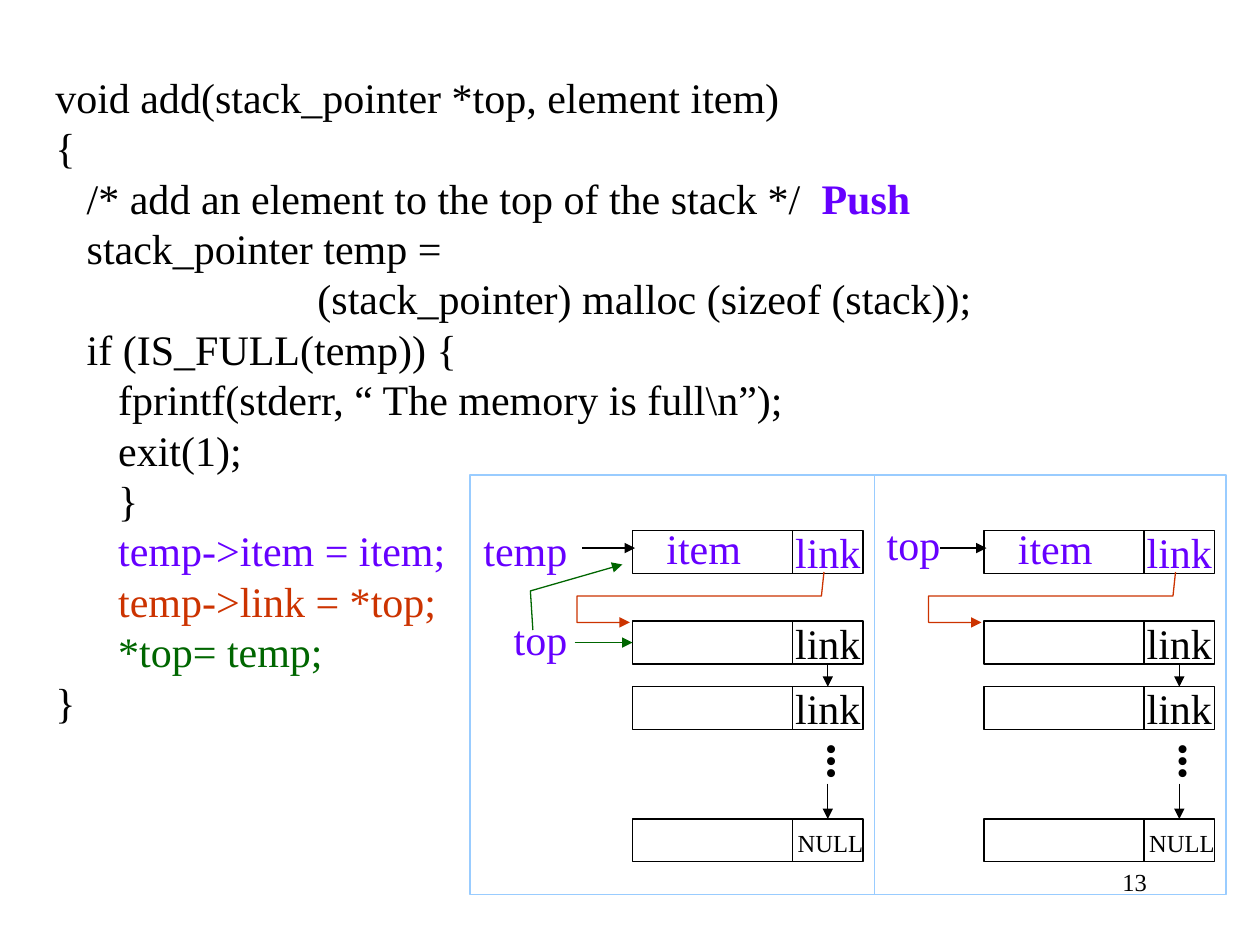
from dataclasses import dataclass

from lxml import etree
from pptx import Presentation
from pptx import util as u
from pptx.dml.color import RGBColor
from pptx.enum import shapes, text
from pptx.oxml.ns import qn

BLACK = RGBColor(0x00, 0x00, 0x00)
PURPLE = RGBColor(0x66, 0x00, 0xFF)
RED = RGBColor(0xCC, 0x33, 0x00)
GREEN = RGBColor(0x00, 0x66, 0x00)
SKY = RGBColor(0x99, 0xCC, 0xFF)
FONT = "Times New Roman"
LINE_WIDTH = u.Pt(0.75)

# Node geometry, shared by both stacks
ITEM_W, LINK_W, NODE_H = 1.27, 0.56, 0.34
PANEL_TOP, PANEL_H = 3.77, 3.33


@dataclass
class Label:
    text: str
    x: float
    y: float
    w: float
    h: float = 0.5
    size: float = 24
    color: RGBColor = BLACK
    bold: bool = False
    side_margin: float = 0
    align: text.PP_ALIGN = text.PP_ALIGN.CENTER
    anchor: text.MSO_ANCHOR = text.MSO_ANCHOR.TOP


@dataclass
class Node:
    top: float
    caption: str
    color: RGBColor = BLACK


NODES = [
    Node(4.21, "link", PURPLE),
    Node(4.93, "link"),
    Node(5.45, "link"),
    Node(6.5, "NULL"),
]

CODE = [
    [("void add(stack_pointer *top, element item)", BLACK)],
    [("{", BLACK)],
    [("   /* add an element to the top of the stack */  ", BLACK), ("Push", PURPLE)],
    [("   stack_pointer temp =", BLACK)],
    [("                         (stack_pointer) malloc (sizeof (stack));", BLACK)],
    [("   if (IS_FULL(temp)) {", BLACK)],
    [("      fprintf(stderr, “ The memory is full\\n”);", BLACK)],
    [("      exit(1);", BLACK)],
    [("      }", BLACK)],
    [("      temp->item = item;", PURPLE)],
    [("      temp->link = *top;", RED)],
    [("      *top= temp;", GREEN)],
    [("}", BLACK)],
]


def add_run(p, content: str, size: float, color: RGBColor, bold: bool = False) -> None:
    r = p.add_run()
    r.text = content
    r.font.name, r.font.size, r.font.bold = FONT, u.Pt(size), bold
    r.font.color.rgb = color


def add_label(parent, label: Label):
    s = parent.add_textbox(*map(u.Inches, (label.x, label.y, label.w, label.h)))
    tf = s.text_frame
    tf.word_wrap, tf.vertical_anchor = True, label.anchor
    tf.margin_left = tf.margin_right = u.Inches(label.side_margin)
    p = tf.paragraphs[0]
    p.alignment = label.align
    add_run(p, label.text, label.size, label.color, label.bold)
    return s


def add_box(parent, x: float, y: float, w: float, h: float, color: RGBColor = BLACK):
    s = parent.add_shape(shapes.MSO_SHAPE.RECTANGLE, *map(u.Inches, (x, y, w, h)))
    s.shadow.inherit = False
    s.fill.background()
    s.line.color.rgb, s.line.width = color, LINE_WIDTH
    return s


def style_arrow(s, color: RGBColor) -> None:
    s.line.color.rgb, s.line.width = color, LINE_WIDTH
    ln = s.line._get_or_add_ln()
    etree.SubElement(ln, qn("a:tailEnd"), type="triangle")


def add_arrow(parent, x1: float, y1: float, x2: float, y2: float,
              color: RGBColor = BLACK):
    s = parent.add_connector(shapes.MSO_CONNECTOR.STRAIGHT,
                             *map(u.Inches, (x1, y1, x2, y2)))
    style_arrow(s, color)
    etree.SubElement(s._element.spPr, qn("a:effectLst"))
    return s


def add_bent_arrow(parent, points: list[tuple[float, float]], color: RGBColor) -> None:
    start, *rest = [(u.Inches(x), u.Inches(y)) for x, y in points]
    builder = parent.build_freeform(*start)
    builder.add_line_segments(rest, close=False)
    s = builder.convert_to_shape()
    s.shadow.inherit = False
    s.fill.background()
    style_arrow(s, color)


def add_stack(parent, x: float) -> list:
    """Draw the linked nodes with left edge x; return their item cells."""
    link_x = x + ITEM_W
    mid = link_x + LINK_W / 2
    items, links = [], []
    for node in NODES:
        items.append(add_box(parent, x, node.top, ITEM_W, NODE_H))
        links.append(add_box(parent, link_x, node.top, LINK_W, NODE_H))
        if node.caption == "NULL":
            add_label(parent, Label(node.caption, x + 1.21, node.top + 0.02,
                                    0.72, 0.34, size=14))
        else:
            add_label(parent, Label(node.caption, x + 1.16, node.top - 0.08,
                                    0.78, color=node.color))
    add_label(parent, Label("item", x + 0.17, 4.1, 0.79, color=PURPLE))

    # Arrows between nodes, with dots for the omitted ones
    s = add_arrow(parent, mid, 5.27, mid, 5.45)
    s.begin_connect(links[1], 2)
    s.end_connect(links[2], 0)
    s = add_arrow(parent, mid, 6.22, mid, 6.5)
    s.end_connect(links[3], 0)
    dots = add_label(parent, Label("...", x + 1.33, 5.8, 0.66, 0.39, 28, bold=True,
                                   side_margin=0.05))
    tf = dots.text_frame
    tf.word_wrap = False
    tf.margin_top = tf.margin_bottom = u.Inches(0.1)
    tf._txBody.bodyPr.set("vert", "eaVert")

    # New node's link to the former top
    add_bent_arrow(parent, [(x + 1.52, 4.54), (x + 1.5, 4.73), (x - 0.44, 4.73),
                            (x - 0.44, 4.94), (x - 0.02, 4.94)], RED)
    return items


def add_code(parent) -> None:
    s = parent.add_textbox(*map(u.Inches, (0.34, 0.54, 8.58, 5.25)))
    tf = s.text_frame
    tf.word_wrap, tf.vertical_anchor = True, text.MSO_ANCHOR.MIDDLE
    p = tf.paragraphs[0]
    for i, line in enumerate(CODE):
        if i:
            p.add_line_break()
        for content, color in line:
            add_run(p, content, 24, color, bold=content == "Push")


def main() -> None:
    prs = Presentation()
    prs.slide_width, prs.slide_height = u.Inches(10), u.Inches(7.5)
    slide = prs.slides.add_slide(prs.slide_layouts[6])
    add_code(slide.shapes)

    # Stack while pushing
    before = slide.shapes.add_group_shape().shapes
    items = add_stack(before, 5.02)
    add_label(before, Label("temp", 3.74, 4.11, 0.86, color=PURPLE))
    add_label(before, Label("top", 3.79, 4.92, 1, 0.3, color=PURPLE,
                            anchor=text.MSO_ANCHOR.MIDDLE))
    add_arrow(before, 4.62, 4.35, 5.04, 4.35)
    s = add_arrow(before, 4.56, 5.1, 5.02, 5.1, GREEN)
    s.end_connect(items[1], 1)
    add_bent_arrow(before, [(4.23, 5), (4.21, 4.69), (4.94, 4.48)], GREEN)

    # Stack after the push
    after = slide.shapes.add_group_shape().shapes
    add_stack(after, 7.81)
    add_label(after, Label("top", 6.94, 4.07, 0.62, color=PURPLE))
    add_arrow(after, 7.46, 4.35, 7.83, 4.35)

    # Panel frames and page number
    for x, w in ((3.73, 3.21), (6.94, 2.79)):
        add_box(slide.shapes, x, PANEL_TOP, w, PANEL_H, SKY)
    add_label(slide.shapes, Label("13", 7.12, 6.83, 2.08, size=14, side_margin=0.1,
                                  align=text.PP_ALIGN.RIGHT))
    prs.save("out.pptx")


if __name__ == "__main__":
    main()
